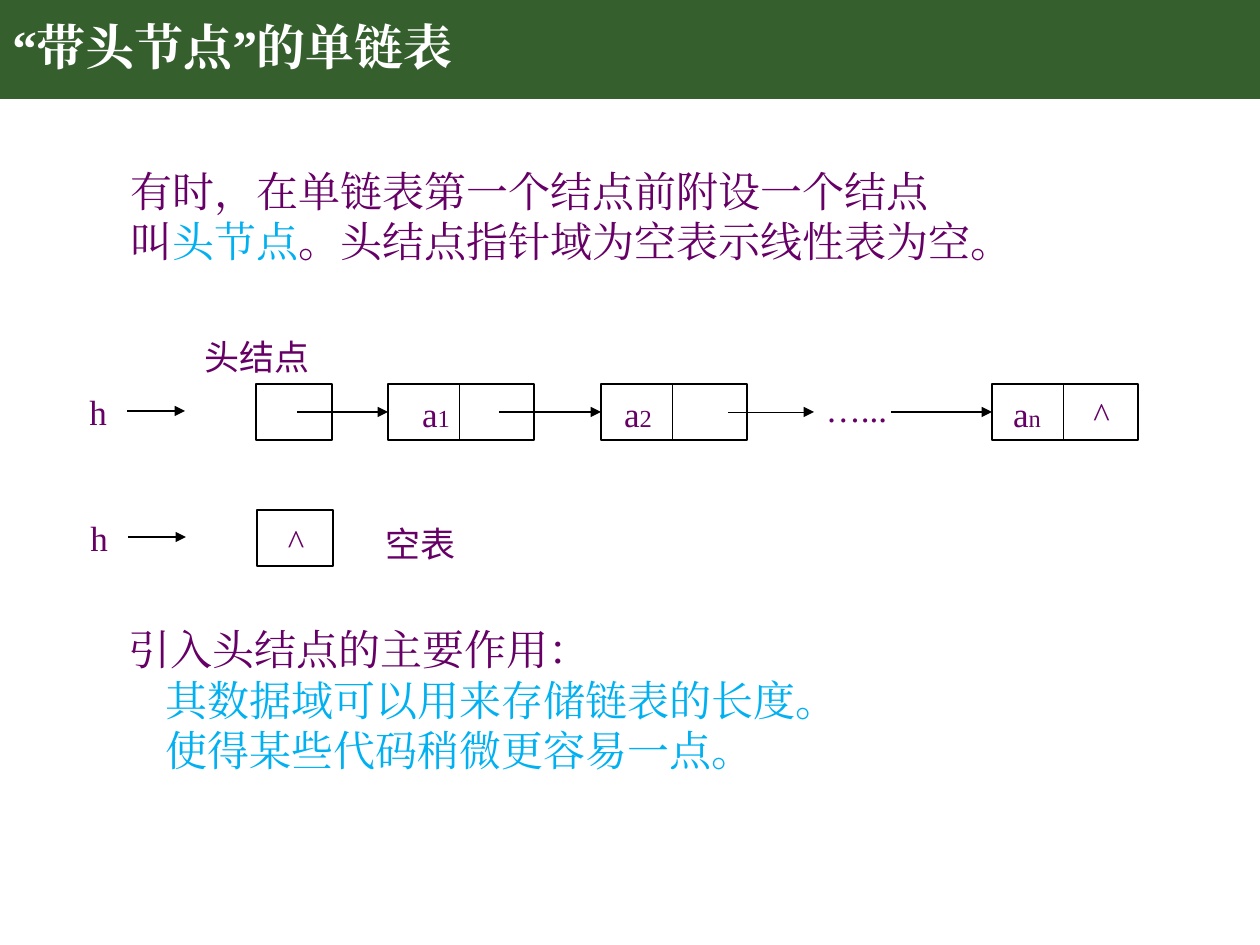
import pptx
import pptx.dml.color
import pptx.enum.shapes
import pptx.enum.text
import pptx.util
from lxml import etree
from pptx.oxml.ns import qn

PX = 914400 / 126
LATIN, CHINESE = "Times New Roman", "Noto Sans CJK SC"
GREEN, PURPLE, BLUE, BLACK, WHITE = "365F2E", "660066", "00B0F0", "000000", "FFFFFF"
ALIGN = pptx.enum.text.PP_ALIGN
NODE_HEIGHT, NODE_WIDTH, HEAD_WIDTH, SPLIT = 56, 146, 76, 71


def px(length):
    return pptx.util.Emu(round(length * PX))


def color(value):
    return pptx.dml.color.RGBColor.from_string(value)


def add_span(para, text, size, hue=PURPLE, font=LATIN, bold=False):
    span = para.add_run()
    span.text = text
    span.font.size = pptx.util.Pt(size)
    span.font.name = font
    span.font.bold = bold
    span.font.color.rgb = color(hue)
    east_asian = etree.SubElement(span.font._element, qn("a:ea"))
    east_asian.set("typeface", font)


def add_text_box(page, x, y, width, height, wrap=True):
    """Add an empty, vertically centred text box and return its frame."""
    frame = page.shapes.add_textbox(px(x), px(y), px(width), px(height)).text_frame
    frame.word_wrap = wrap
    frame.vertical_anchor = pptx.enum.text.MSO_ANCHOR.MIDDLE
    return frame


def add_label(page, x, y, width, spans, font=LATIN):
    """Add one centred line of (text, size) spans."""
    para = add_text_box(page, x, y, width, 54, wrap=False).paragraphs[0]
    para.alignment = ALIGN.CENTER
    for text, size in spans:
        add_span(para, text, size, font=font)


def add_rectangle(page, x, y, width, height, fill=None):
    """Add a filled rectangle without outline, or an outlined one without fill."""
    shape = page.shapes.add_shape(
        pptx.enum.shapes.MSO_SHAPE.RECTANGLE, px(x), px(y), px(width), px(height))
    shape.shadow.inherit = False
    if fill:
        shape.fill.solid()
        shape.fill.fore_color.rgb = color(fill)
        shape.line.fill.background()
    else:
        shape.fill.background()
        shape.line.color.rgb = color(BLACK)
        shape.line.width = pptx.util.Pt(0.75)
    return shape


def add_line(page, x1, y1, x2, y2, weight=0.75, arrow=False, target=None):
    """Draw a line; a target rectangle is joined at its left side."""
    line = page.shapes.add_connector(
        pptx.enum.shapes.MSO_CONNECTOR.STRAIGHT, px(x1), px(y1), px(x2), px(y2))
    line.line.color.rgb = color(BLACK)
    line.line.width = pptx.util.Pt(weight)
    properties = line._element.spPr
    if arrow:
        etree.SubElement(properties.find(qn("a:ln")), qn("a:tailEnd")).set("type", "triangle")
    etree.SubElement(properties, qn("a:effectLst"))
    if target is not None:
        line.end_connect(target, 1)


def add_node(page, x, y, subscript, label_center):
    """Draw a data cell and a pointer cell side by side."""
    node = add_rectangle(page, x, y, NODE_WIDTH, NODE_HEIGHT)
    add_line(page, x + SPLIT, y + 1, x + SPLIT, y + NODE_HEIGHT, weight=0.5)
    add_label(page, x + label_center - 30, y + 2, 60, [("a", 20), (subscript, 14)])
    return node


def add_pointer(page, x, y):
    """Draw the pointer h, its arrow and the head node."""
    middle = y + NODE_HEIGHT / 2
    add_label(page, x, y, 40, [("h", 20)])
    add_line(page, x + 50, middle - 1, x + 108, middle - 1, arrow=True)
    add_rectangle(page, x + 179, y, HEAD_WIDTH, NODE_HEIGHT)


def add_title(page, x, y, width, height):
    add_rectangle(page, x, y, width, height, fill=GREEN)
    para = add_text_box(page, x, y, 1086, height).paragraphs[0]
    para.line_spacing = 0.9
    add_span(para, "“带头节点”的单链表", 28, WHITE, bold=True)


def add_introduction(page, x, y, width, height):
    para = add_text_box(page, x, y, width, height, wrap=False).paragraphs[0]
    add_span(para, "有时，在单链表第一个结点前附设一个结点", 24)
    para.add_line_break()
    add_span(para, "叫", 24)
    add_span(para, "头节点", 24, BLUE)
    add_span(para, "。头结点指针域为空表示线性表为空。", 24)


def add_list_row(page, x, y):
    """Draw the list h, head node, a1, a2, ..., an."""
    middle = y + NODE_HEIGHT / 2
    add_pointer(page, x, y)
    add_label(page, x + 115, y - 55, 130, [("头结点", 20)], CHINESE)
    first = add_node(page, x + 311, y, "1", 48)
    second = add_node(page, x + 524, y, "2", 37)
    last = add_node(page, x + 915, y, "n", 35)
    add_line(page, x + 220, middle, x + 311, middle, arrow=True, target=first)
    add_line(page, x + 422, middle, x + 524, middle, arrow=True, target=second)
    add_line(page, x + 651, middle, x + 737, middle, weight=0.5, arrow=True)
    add_label(page, x + 736, y - 3, 87, [("…...", 20)])
    add_line(page, x + 814, middle, x + 915, middle, arrow=True, target=last)
    add_label(page, x + 1004, y + 2, 40, [("^", 20)])


def add_empty_row(page, x, y):
    """Draw the empty list, whose head node holds a null pointer."""
    add_pointer(page, x, y)
    add_label(page, x + 197, y + 3, 42, [("^", 20)])
    add_label(page, x + 295, y + 6, 96, [("空表", 20)], CHINESE)


def add_benefits(page, x, y, width, height):
    frame = add_text_box(page, x, y, width, height)
    add_span(frame.paragraphs[0], "引入头结点的主要作用：", 24)
    for text in ("其数据域可以用来存储链表的长度。", "使得某些代码稍微更容易一点。"):
        para = frame.add_paragraph()
        para._p.get_or_add_pPr().set("marL", str(px(37)))
        add_span(para, text, 24, BLUE)


def main():
    deck = pptx.Presentation()
    deck.slide_width, deck.slide_height = px(1260), px(945)
    page = deck.slides.add_slide(deck.slide_layouts[6])
    add_title(page, 0, 0, 1260, 99)
    add_introduction(page, 118, 158, 916, 115)
    add_list_row(page, 77, 384)
    add_empty_row(page, 78, 510)
    add_benefits(page, 116, 617, 1037, 165)
    deck.save("out.pptx")


if __name__ == "__main__":
    main()
